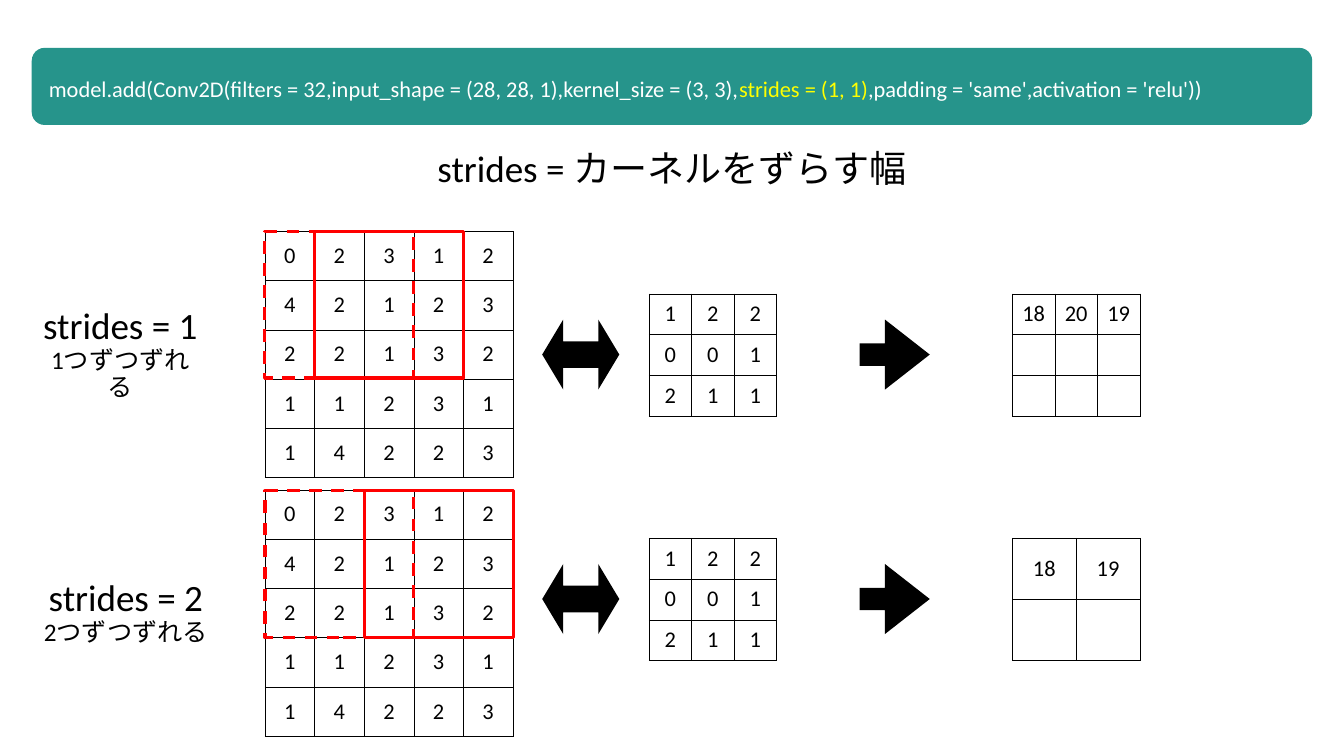
import pptx
import pptx.dml.color
import pptx.enum.dml
import pptx.enum.shapes
import pptx.enum.text
import pptx.oxml
import pptx.oxml.ns
import pptx.util
from dataclasses import dataclass

PX = 9144  # EMU per px, 100 px to the inch
INSET = 6 * PX


@dataclass(frozen=True)
class Theme:
    font: str = "Calibri"
    ink: str = "000000"
    band: str = "26948B"
    code: str = "FFFFFF"
    accent: str = "FFFF00"
    window: str = "FF0000"
    heading_size: int = 53
    note_size: int = 36
    body_size: int = 32
    window_line: float = 4.5


theme = Theme()
rgb = pptx.dml.color.RGBColor.from_string
SHAPE = pptx.enum.shapes.MSO_SHAPE
CENTER = pptx.enum.text.PP_ALIGN.CENTER
LEFT = pptx.enum.text.PP_ALIGN.LEFT
MIDDLE = pptx.enum.text.MSO_ANCHOR.MIDDLE

presentation = pptx.Presentation()
presentation.slide_width = 2667 * PX
presentation.slide_height = 1500 * PX
slide = presentation.slides.add_slide(presentation.slide_layouts[6])


def write_text(frame, paragraphs, alignment=CENTER):
    """Fill a text frame; each paragraph is a list of (text, size, colour) runs."""
    for index, runs in enumerate(paragraphs):
        paragraph = frame.paragraphs[0] if index == 0 else frame.add_paragraph()
        paragraph.alignment = alignment
        paragraph.line_spacing = 0.9
        for text, size, colour in runs:
            run = paragraph.add_run()
            run.text = text
            run.font.name = theme.font
            run.font.size = pptx.util.Pt(size)
            run.font.color.rgb = rgb(colour)


def add_grid(left, top, width, height, values):
    """Add a table of equal cells with thin black borders."""
    box = [length * PX for length in (left, top, width, height)]
    table = slide.shapes.add_table(len(values), len(values[0]), *box).table
    table.first_row = False
    table.horz_banding = False
    for column in table.columns:
        column.width = width * PX // len(values[0])
    for row, row_values in zip(table.rows, values):
        row.height = height * PX // len(values)
        for cell, value in zip(row.cells, row_values):
            cell.fill.background()
            cell.vertical_anchor = MIDDLE
            cell.margin_left = cell.margin_right = INSET
            cell.margin_top = cell.margin_bottom = INSET
            if value != "":
                write_text(cell.text_frame, [[(str(value), theme.body_size, theme.ink)]])
            properties = cell._tc.get_or_add_tcPr()
            for position, side in enumerate(("lnL", "lnR", "lnT", "lnB")):
                properties.insert(position, pptx.oxml.parse_xml(
                    f'<a:{side} {pptx.oxml.ns.nsdecls("a")} w="12700"><a:solidFill>'
                    f'<a:srgbClr val="{theme.ink}"/></a:solidFill></a:{side}>'))


# Code band
band = slide.shapes.add_shape(SHAPE.ROUNDED_RECTANGLE, 63 * PX, 95 * PX, 2541 * PX, 153 * PX)
band.shadow.inherit = False
band.fill.solid()
band.fill.fore_color.rgb = rgb(theme.band)
band.line.fill.background()

# Text boxes: place, paragraphs, alignment, wrap
code_runs = [
    ("model.add(Conv2D(filters = 32,input_shape = (28, 28, 1),kernel_size = (3, 3),",
     theme.body_size, theme.code),
    ("strides = (1, 1)", theme.body_size, theme.accent),
    (",padding = 'same',activation = 'relu'))", theme.body_size, theme.code),
]
title_runs = [("strides = カーネルをずらす幅", theme.heading_size, theme.ink)]
label_paragraphs = [
    [[(f"strides = {stride}", theme.heading_size, theme.ink)],
     [(f"{stride}つずつずれる", theme.note_size, theme.ink)]]
    for stride in (1, 2)
]
text_boxes = [
    ((91, 149, 2332, 60), [code_runs], LEFT, False),
    ((851, 277, 965, 123), [title_runs], CENTER, False),
    ((79, 631, 320, 146), label_paragraphs[0], CENTER, True),
    ((75, 1144, 350, 146), label_paragraphs[1], CENTER, False),
]
for place, paragraphs, alignment, wrap in text_boxes:
    frame = slide.shapes.add_textbox(*[length * PX for length in place]).text_frame
    frame.word_wrap = wrap
    frame.vertical_anchor = MIDDLE
    frame.margin_left = frame.margin_right = INSET
    frame.margin_top = frame.margin_bottom = INSET
    write_text(frame, paragraphs, alignment)

# One convolution example per stride
input_values = [
    [0, 2, 3, 1, 2],
    [4, 2, 1, 2, 3],
    [2, 2, 1, 3, 2],
    [1, 1, 2, 3, 1],
    [1, 4, 2, 2, 3],
]
kernel_values = [[1, 2, 2], [0, 0, 1], [2, 1, 1]]
examples = [
    # stride, input top, kernel top, window left, window top, output
    (1, 459, 583, 525, 459, [[18, 20, 19], ["", "", ""], ["", "", ""]]),
    (2, 972, 1068, 526, 974, [[18, 19], ["", ""]]),
]
for stride, input_top, kernel_top, window_left, window_top, output_values in examples:
    add_grid(526, input_top, 492, 489, input_values)
    add_grid(1288, kernel_top, 253, 243, kernel_values)
    add_grid(2009, kernel_top, 253, 243, output_values)

    # Arrows between the grids
    for kind, left, width, adjustments in (
        (SHAPE.LEFT_RIGHT_ARROW, 1076, 153, (0.38, 0.3)),
        (SHAPE.RIGHT_ARROW, 1706, 139, (0.32, 0.64)),
    ):
        arrow = slide.shapes.add_shape(
            kind, left * PX, (kernel_top + 51) * PX, width * PX, 139 * PX)
        arrow.shadow.inherit = False
        arrow.fill.solid()
        arrow.fill.fore_color.rgb = rgb(theme.ink)
        arrow.line.fill.background()
        for index, value in enumerate(adjustments):
            arrow.adjustments[index] = value

    # Kernel window before (dashed) and after the step
    for step in (0, stride):
        window = slide.shapes.add_shape(
            SHAPE.RECTANGLE, (window_left + 99 * step) * PX, window_top * PX,
            295 * PX, 291 * PX)
        window.shadow.inherit = False
        window.fill.background()
        window.line.color.rgb = rgb(theme.window)
        window.line.width = pptx.util.Pt(theme.window_line)
        if step == 0:
            window.line.dash_style = pptx.enum.dml.MSO_LINE.DASH

presentation.save("out.pptx")
